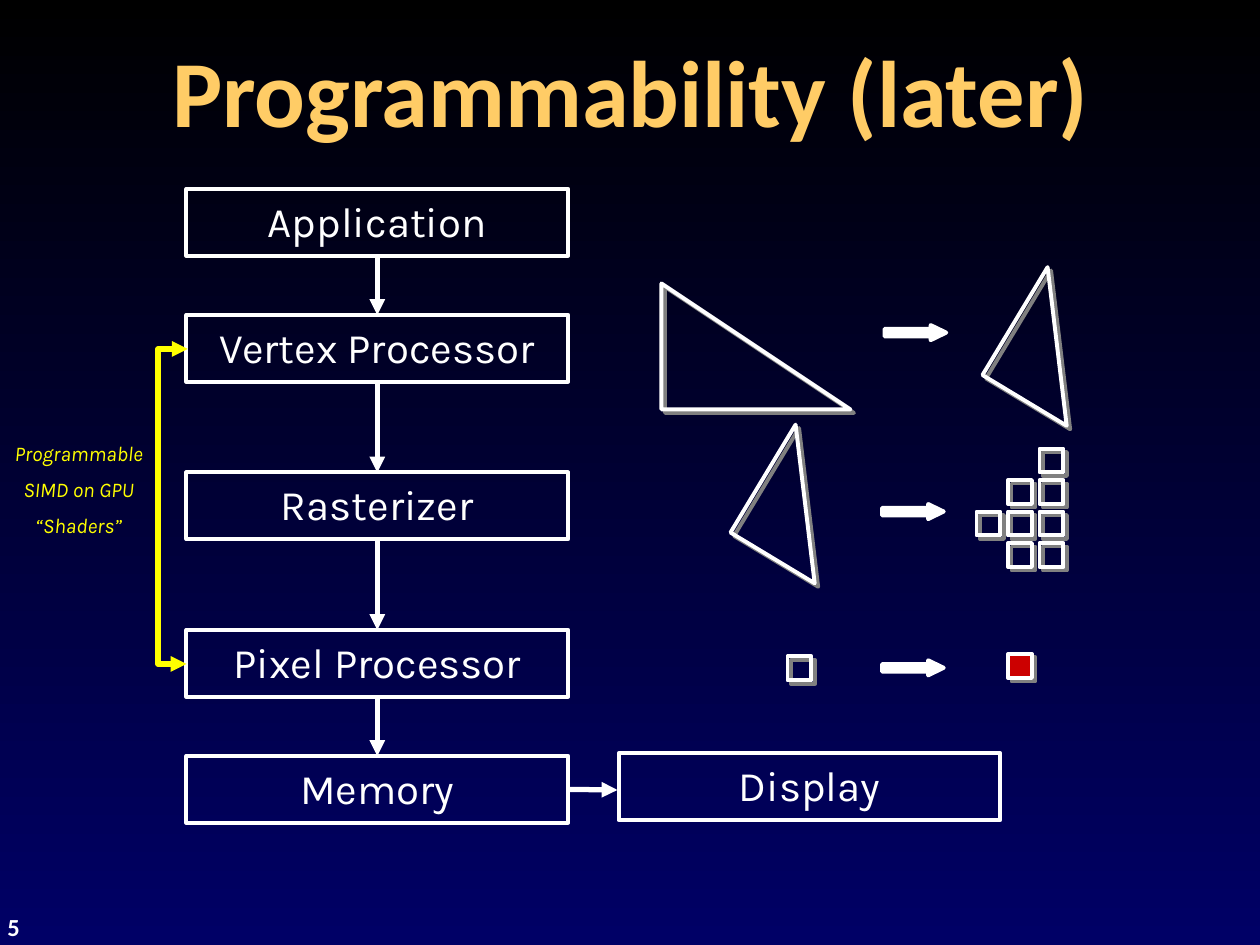
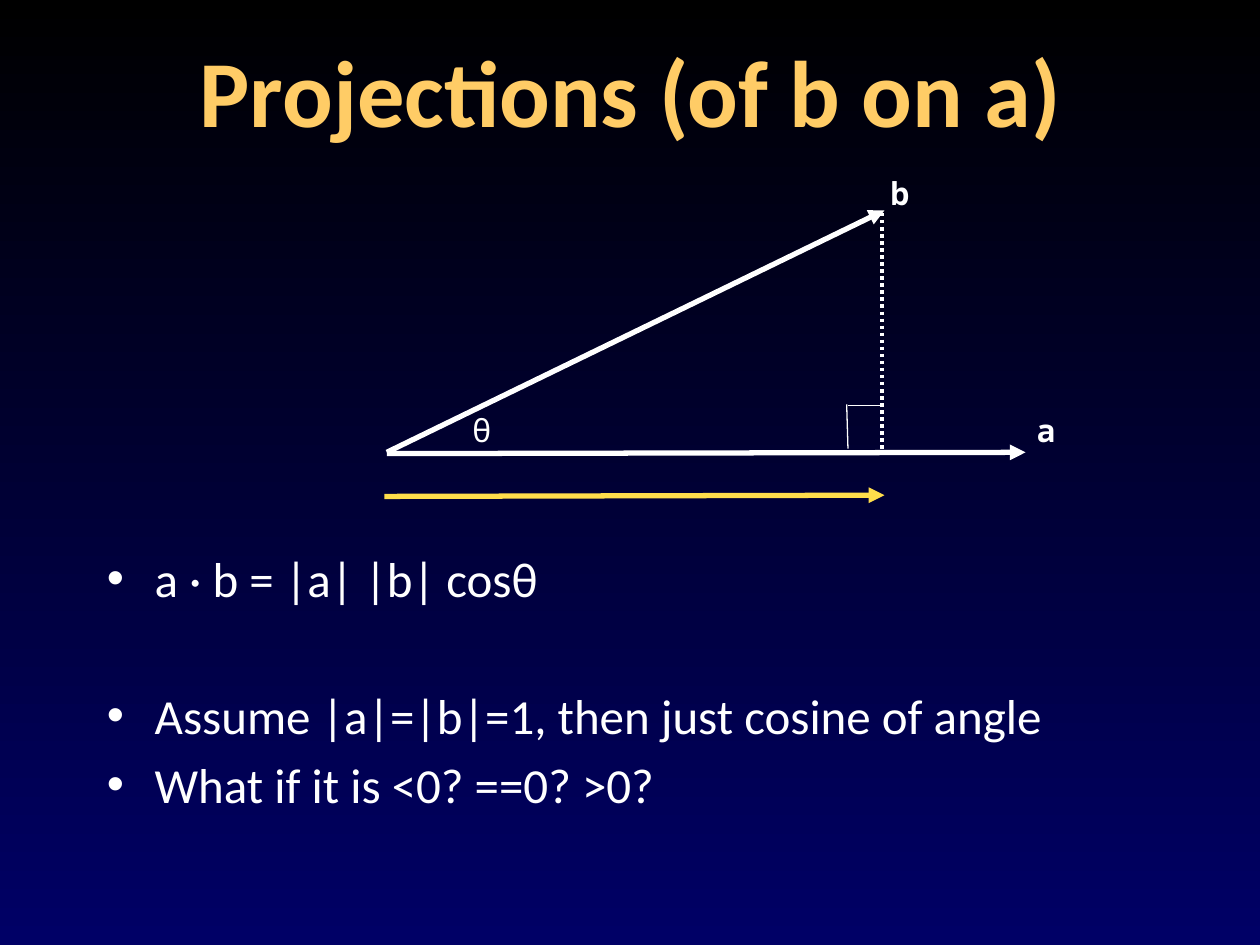
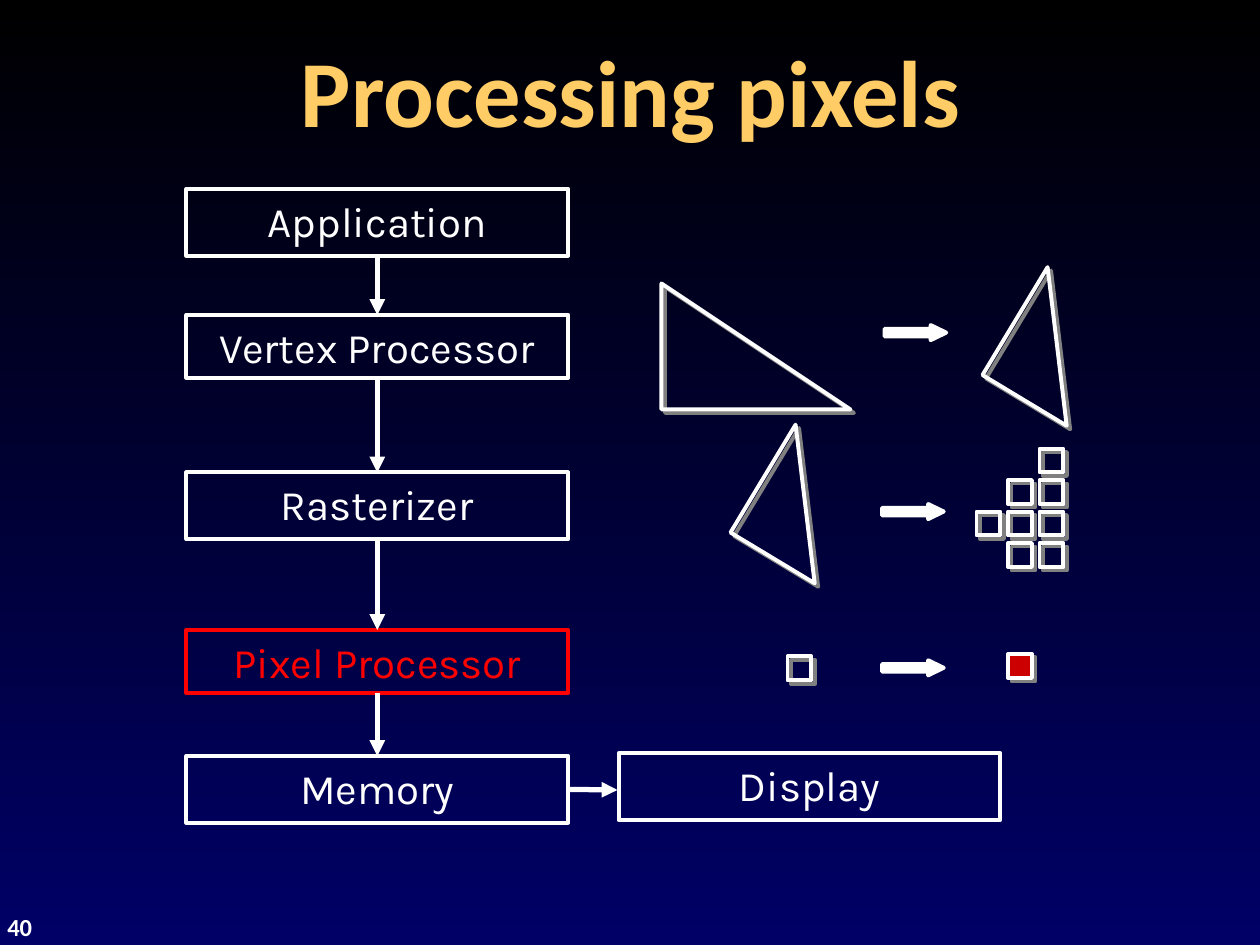
from lxml import etree
from pptx import Presentation
from pptx.dml.color import RGBColor
from pptx.enum.dml import MSO_LINE
from pptx.enum.shapes import MSO_CONNECTOR, MSO_SHAPE
from pptx.enum.text import MSO_ANCHOR, PP_ALIGN
from pptx.oxml.ns import qn
from pptx.util import Emu, Pt

PX = 9144  # 100 px to the inch
STRAIGHT, ELBOW = MSO_CONNECTOR.STRAIGHT, MSO_CONNECTOR.ELBOW
RECTANGLE, TRIANGLE = MSO_SHAPE.RECTANGLE, MSO_SHAPE.RIGHT_TRIANGLE
RIGHT_ARROW = MSO_SHAPE.RIGHT_ARROW
DOTTED = MSO_LINE.ROUND_DOT
LEFT, CENTER = PP_ALIGN.LEFT, PP_ALIGN.CENTER
MIDDLE = MSO_ANCHOR.MIDDLE
TOP_SIDE, BOTTOM_SIDE, RIGHT_SIDE = 0, 2, 3

WHITE, YELLOW, RED = "FFFFFF", "FFFF00", "FF0000"
TITLE_COLOR, PROJECTION_COLOR = "FFCC66", "FFDD4B"
SHADED_PIXEL, SHADOW_COLOR = "CC0000", "808080"
BACKGROUND = ("000000", "000066")
MAIN_FONT, DIAGRAM_FONT, SYMBOL_FONT = "Calibri", "Karla", "Noto Sans Mono"

STAGES = [("Application", 0), ("Vertex Processor", 100), ("Rasterizer", 225),
          ("Pixel Processor", 350), ("Memory", 450)]
STAGE_WIDTH, STAGE_HEIGHT = 303, 53
PIXEL, PIXEL_STEP = 19, 25
COVERED_PIXELS = ["..#", ".##", "###", ".##"]


def px(*lengths):
    return [Emu(length * PX) for length in lengths]


def color(hex_string):
    return RGBColor.from_string(hex_string)


def style_paragraph(paragraph, text, size, font_name, text_color=WHITE,
                    bold=False, italic=False, align=LEFT):
    paragraph.text = text
    paragraph.alignment = align
    font = paragraph.font
    font.size, font.name = Pt(size), font_name
    font.bold, font.italic = bold, italic
    font.color.rgb = color(text_color)


def add_text(slide, box, lines, size, font_name, wrap=True, gap=0, **style):
    frame = slide.shapes.add_textbox(*px(*box)).text_frame
    frame.word_wrap = wrap
    for index, line in enumerate(lines):
        paragraph = frame.add_paragraph() if index else frame.paragraphs[0]
        if index and gap:
            paragraph.space_before = Pt(gap)
        style_paragraph(paragraph, line, size, font_name, **style)
    return frame


def add_outline(shapes, kind, box, line_color=WHITE, fill=None, shadow=False):
    shape = shapes.add_shape(kind, *px(*box))
    shape.shadow.inherit = False
    shape.line.color.rgb = color(line_color)
    shape.line.width = Pt(2.25)
    if fill:
        shape.fill.solid()
        shape.fill.fore_color.rgb = color(fill)
    else:
        shape.fill.background()
    if shadow:
        effects = shape.element.spPr.find(qn("a:effectLst"))
        outer = etree.SubElement(effects, qn("a:outerShdw"), dist="36000",
                                 dir="2700000", algn="ctr", rotWithShape="0")
        etree.SubElement(outer, qn("a:srgbClr"), val=SHADOW_COLOR)
    return shape


def add_line(slide, start, end, line_color=WHITE, width=3, kind=STRAIGHT,
             dash=None, ends=("tailEnd",)):
    connector = slide.shapes.add_connector(kind, *px(*start, *end))
    connector.line.color.rgb = color(line_color)
    connector.line.width = Pt(width)
    if dash:
        connector.line.dash_style = dash
    properties = connector.element.spPr
    for name in ends:
        etree.SubElement(properties.find(qn("a:ln")), qn("a:" + name), type="triangle")
    etree.SubElement(properties, qn("a:effectLst"))
    return connector


# Shared slide parts
def set_background(master):
    fill = master.background.fill
    fill.gradient()
    fill.gradient_angle = 270
    for stop, stop_color in zip(fill.gradient_stops, BACKGROUND):
        stop.color.rgb = color(stop_color)


def add_slide(presentation, title, number=None):
    slide = presentation.slides.add_slide(presentation.slide_layouts[6])
    if number:
        add_text(slide, (-4, 719, 66, 33), [number], 14, MAIN_FONT, bold=True)
    frame = add_text(slide, (17, 17, 967, 108), [title], 54, MAIN_FONT,
                     text_color=TITLE_COLOR, bold=True, align=CENTER)
    frame.vertical_anchor = MIDDLE
    return slide


# Pipeline regions
def add_stage(slide, name, left, top, height=STAGE_HEIGHT, stage_color=WHITE):
    box = (left, top, STAGE_WIDTH, height)
    stage = add_outline(slide.shapes, RECTANGLE, box, stage_color)
    stage.text_frame.vertical_anchor = MSO_ANCHOR.TOP
    style_paragraph(stage.text_frame.paragraphs[0], name, 24, DIAGRAM_FONT,
                    text_color=stage_color, align=CENTER)
    return stage


def add_pipeline(slide, left, top, highlight, processor_height):
    stages = []
    for name, offset in STAGES:
        height = processor_height if name.endswith("Processor") else STAGE_HEIGHT
        stage_color = RED if name == highlight else WHITE
        stages.append(add_stage(slide, name, left, top + offset, height, stage_color))
    for upper, lower in zip(stages, stages[1:]):
        arrow = add_line(slide, (left, top), (left, top))
        arrow.begin_connect(upper, BOTTOM_SIDE)
        arrow.end_connect(lower, TOP_SIDE)

    # Memory feeds the display
    add_stage(slide, "Display", left + 343, top + 448)
    arrow = add_line(slide, (left + 303, top + 477), (left + 342, top + 477))
    arrow.begin_connect(stages[-1], RIGHT_SIDE)


def add_turned_triangle(shapes, left, top):
    triangle = add_outline(shapes, TRIANGLE, (left, top, 78, 100), shadow=True)
    triangle.rotation = 31.1


def add_step_arrow(shapes, left, top):
    arrow = add_outline(shapes, RIGHT_ARROW, (left, top, 49, 12), fill=WHITE)
    arrow.adjustments[0], arrow.adjustments[1] = 0.5, 1.03


def add_pixel(shapes, left, top, fill=None):
    add_outline(shapes, RECTANGLE, (left, top, PIXEL, PIXEL), fill=fill, shadow=True)


def add_vertex_step(slide, left, top):
    shapes = slide.shapes.add_group_shape().shapes
    add_outline(shapes, TRIANGLE, (left, top, 150, 100), shadow=True)
    add_turned_triangle(shapes, left + 275, top)
    add_step_arrow(shapes, left + 177, top + 33)


def add_raster_step(slide, left, top):
    shapes = slide.shapes.add_group_shape().shapes
    add_turned_triangle(shapes, left, top)
    for row, cells in enumerate(COVERED_PIXELS):
        for column, cell in enumerate(cells):
            if cell == "#":
                add_pixel(shapes, left + 175 + column * PIXEL_STEP,
                          top + 6 + row * PIXEL_STEP)
    add_step_arrow(shapes, left + 100, top + 50)


def add_pixel_step(slide, left, top):
    shapes = slide.shapes.add_group_shape().shapes
    add_pixel(shapes, left, top + 2)
    add_step_arrow(shapes, left + 75, top + 5)
    add_pixel(shapes, left + 175, top, SHADED_PIXEL)


def add_shader_note(slide, left, top):
    # Bracket that leaves both processors on the left, 24 px out
    bracket = add_line(slide, (left + 161, top + 182), (left + 162, top - 68),
                       YELLOW, kind=ELBOW, ends=("headEnd", "tailEnd"))
    properties = bracket.element.spPr
    properties.find(qn("a:xfrm")).set("rot", "10800000")
    geometry = properties.find(qn("a:prstGeom"))
    guides = geometry.find(qn("a:avLst"))
    if guides is None:
        guides = etree.SubElement(geometry, qn("a:avLst"))
    etree.SubElement(guides, qn("a:gd"), name="adj1", fmla="val 2400000")
    add_text(slide, (left, top, 151, 91),
             ["Programmable", "SIMD on GPU", "“Shaders”"], 12, DIAGRAM_FONT,
             gap=6, text_color=YELLOW, italic=True, align=CENTER)


def build_pipeline_slide(presentation, title, number, highlight=None,
                         processor_height=STAGE_HEIGHT):
    slide = add_slide(presentation, title, number)
    add_pipeline(slide, 148, 150, highlight, processor_height)
    add_vertex_step(slide, 525, 225)
    add_raster_step(slide, 600, 350)
    add_pixel_step(slide, 625, 519)
    return slide


# Projection regions
def add_projection_diagram(slide, left, top):
    def line(x1, y1, x2, y2, **style):
        add_line(slide, (left + x1, top + y1), (left + x2, top + y2), **style)

    def label(text, x, y, width, height, bold=True):
        add_text(slide, (left + x, top + y, width, height), [text], 18,
                 SYMBOL_FONT, wrap=False, bold=bold)

    # Vectors a and b
    line(2, 227, 509, 226)
    line(2, 226, 397, 34)
    label("a", 508, 188, 40, 57)
    label("b", 392, 0, 42, 57)
    # Perpendicular with its right angle
    line(395, 36, 395, 223, width=2, dash=DOTTED, ends=())
    line(395, 189, 368, 189, width=0.75, ends=())
    line(367, 188, 368, 223, width=0.75, ends=())
    # Projection and angle
    line(0, 261, 397, 260, line_color=PROJECTION_COLOR)
    label("θ", 60, 188, 33, 40, bold=False)


def add_bullets(slide, box, bullets):
    frame = slide.shapes.add_textbox(*px(*box)).text_frame
    frame.word_wrap = True
    for index, (text, gap) in enumerate(bullets):
        paragraph = frame.add_paragraph() if index else frame.paragraphs[0]
        if gap:
            paragraph.space_before = Pt(gap)
        properties = paragraph._p.get_or_add_pPr()
        properties.set("marL", str(38 * PX))
        properties.set("indent", str(-38 * PX))
        etree.SubElement(properties, qn("a:buFont"), typeface="Arial")
        etree.SubElement(properties, qn("a:buChar"), char="•")
        style_paragraph(paragraph, text, 28, MAIN_FONT)


def build_projection_slide(presentation):
    slide = add_slide(presentation, "Projections (of b on a)")
    add_projection_diagram(slide, 305, 133)
    add_bullets(slide, (75, 430, 850, 319), [
        ("a · b = |a| |b| cosθ", 0),
        ("Assume |a|=|b|=1, then just cosine of angle", 45),
        ("What if it is <0? ==0? >0?", 5.6),
    ])


def main():
    presentation = Presentation()
    presentation.slide_width, presentation.slide_height = px(1000, 750)
    set_background(presentation.slide_master)
    slide = build_pipeline_slide(presentation, "Programmability (later)", "5")
    add_shader_note(slide, -13, 345)
    build_projection_slide(presentation)
    build_pipeline_slide(presentation, "Processing pixels", "40",
                         highlight="Pixel Processor", processor_height=50)
    presentation.save("out.pptx")


if __name__ == "__main__":
    main()
